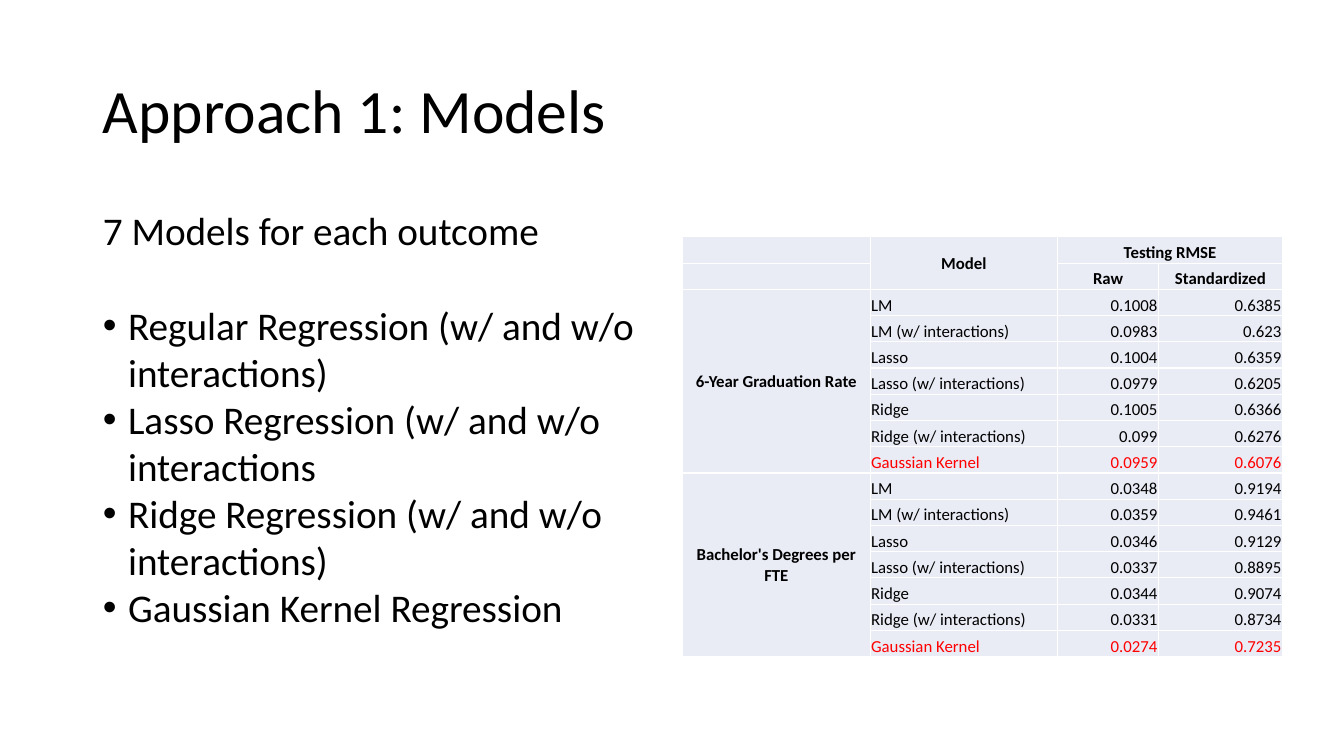
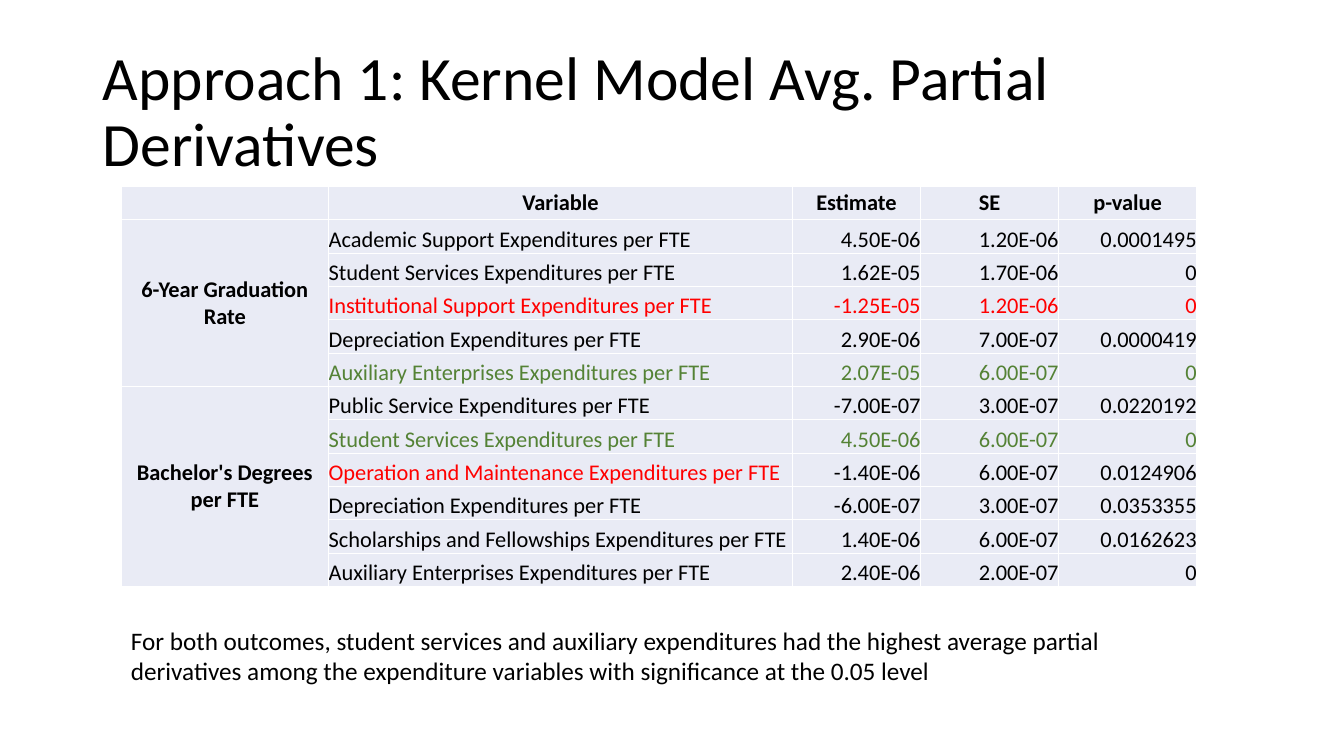
from dataclasses import dataclass
from typing import Any

from lxml.etree import SubElement as Sub
from pptx import Presentation
from pptx.dml.color import RGBColor as Rgb
from pptx.enum.text import MSO_ANCHOR as Anchor, MSO_AUTO_SIZE as Fit, PP_ALIGN as Align
from pptx.oxml.ns import qn
from pptx.util import Inches, Pt

HUES = {"ink": "000000", "red": "FF0000", "green": "548235",
        "cell": "E9EBF5", "rule": "FFFFFF"}
FONT = "Calibri"
GRAD, DEGREE = "6-Year Graduation Rate", "Bachelor's Degrees per FTE"
COST = " Expenditures per FTE"


@dataclass
class Line:
    name: str
    vals: tuple[str, ...]
    tone: str = "ink"
    val_tone: str = ""


@dataclass
class Block:
    name: str
    lines: list[Line]


@dataclass
class Sheet:
    box: tuple[float, float, float, float]
    cols: tuple[float, ...]
    size: int
    inset: float
    anchor: Any
    heads: list[tuple[str, ...]]
    spans: list[tuple[int, int, int, int]]
    blocks: list[Block]


def put(item: Any, vals: dict[str, Any]) -> None:
    for key, val in vals.items():
        setattr(item, key, val)


def place(shape: Any, box: tuple[float, float, float, float]) -> None:
    put(shape, dict(zip(("left", "top", "width", "height"), map(Inches, box))))


def write(para: Any, text: str, size: int, tone: str = "ink", bold: bool = False) -> None:
    run = para.add_run()
    run.text = text
    put(run.font, {"name": FONT, "size": Pt(size), "bold": bold})
    run.font.color.rgb = Rgb.from_string(HUES[tone])


def add_title(slide: Any, text: str) -> None:
    shape = slide.shapes.title
    place(shape, (0.92, 0.4, 11.5, 1.45))
    frame = shape.text_frame
    put(frame, {"vertical_anchor": Anchor.MIDDLE, "auto_size": Fit.NONE, "word_wrap": True})
    para = frame.paragraphs[0]
    put(para, {"alignment": Align.LEFT, "line_spacing": 0.9})
    write(para, text, 44)


def add_list(slide: Any, intro: str, items: list[str]) -> None:
    shape = slide.placeholders[1]
    place(shape, (0.92, 2, 5.51, 4.76))
    frame = shape.text_frame
    put(frame, {"auto_size": Fit.NONE, "word_wrap": True})
    for num, text in enumerate([intro, *items]):
        para = frame.add_paragraph() if num else frame.paragraphs[0]
        put(para, {"space_before": Pt(0), "space_after": Pt(0 if num else 34)})
        write(para, text, 28)
        props = para._p.get_or_add_pPr()
        dent = Inches(0.25) if num else 0
        props.set("marL", str(dent))
        props.set("indent", str(-dent))
        if num:
            Sub(props, qn("a:buFont"), typeface="Arial")
            Sub(props, qn("a:buChar"), char="•")
        else:
            Sub(props, qn("a:buNone"))


def style(cell: Any, sheet: Sheet) -> None:
    props = cell._tc.get_or_add_tcPr()
    for side in ("lnL", "lnR", "lnT", "lnB"):
        edge = Sub(props, qn(f"a:{side}"), w=str(Pt(1)))
        Sub(Sub(edge, qn("a:solidFill")), qn("a:srgbClr"), val=HUES["rule"])
    cell.fill.solid()
    cell.fill.fore_color.rgb = Rgb.from_string(HUES["cell"])
    pad = Inches(sheet.inset)
    put(cell, {"margin_left": pad, "margin_right": pad, "margin_top": pad,
               "margin_bottom": 0, "vertical_anchor": Anchor.BOTTOM})


def fill(cell: Any, text: str, size: int, align: Any, tone: str = "ink",
         bold: bool = False) -> None:
    para = cell.text_frame.paragraphs[0]
    para.alignment = align
    if text:
        write(para, text, size, tone, bold)
    else:
        Sub(para._p, qn("a:endParaRPr"), sz=str(size * 100))


def add_sheet(slide: Any, sheet: Sheet) -> None:
    count = len(sheet.heads) + sum(len(block.lines) for block in sheet.blocks)
    frame = slide.shapes.add_table(count, len(sheet.cols), *map(Inches, sheet.box))
    table = frame.table
    put(table, {"first_row": False, "horz_banding": False})
    for col, width in zip(table.columns, sheet.cols):
        col.width = Inches(width)
    for row in table.rows:
        row.height = Inches(sheet.box[3] / count)
    for cell in table.iter_cells():
        style(cell, sheet)
    for top, texts in enumerate(sheet.heads):
        for col, text in enumerate(texts):
            cell = table.cell(top, col)
            fill(cell, text, sheet.size, Align.CENTER, bold=True)
            cell.vertical_anchor = sheet.anchor
    spans = list(sheet.spans)
    top = len(sheet.heads)
    for block in sheet.blocks:
        fill(table.cell(top, 0), block.name, sheet.size, Align.CENTER, bold=True)
        spans.append((top, 0, top + len(block.lines) - 1, 0))
        for row, line in enumerate(block.lines, top):
            fill(table.cell(row, 1), line.name, sheet.size, Align.LEFT, line.tone)
            for col, val in enumerate(line.vals, 2):
                fill(table.cell(row, col), val, sheet.size, Align.RIGHT,
                     line.val_tone or line.tone)
        top += len(block.lines)
    for top, left, end, right in spans:
        cell = table.cell(top, left)
        cell.merge(table.cell(end, right))
        if end > top:
            cell.vertical_anchor = Anchor.MIDDLE


def add_note(slide: Any, text: str) -> None:
    box = slide.shapes.add_textbox(*map(Inches, (1.2, 6.15, 10.67, 0.71)))
    put(box.text_frame, {"word_wrap": True, "auto_size": Fit.SHAPE_TO_FIT_TEXT})
    write(box.text_frame.paragraphs[0], text, 18)


def score(name: str, pairs: list[tuple[str, str]]) -> Block:
    kinds = [kind + end for kind in ("LM", "Lasso", "Ridge")
             for end in ("", " (w/ interactions)")]
    lines = [Line(kind, pair) for kind, pair in zip(kinds, pairs)]
    return Block(name, [*lines, Line("Gaussian Kernel", pairs[-1], "red")])


def cost(name: str, *vals: str, tone: str = "ink", val_tone: str = "") -> Line:
    return Line(name + COST, vals, tone, val_tone)


SCORES = Sheet(
    (6.77, 2.35, 5.95, 4.17), (1.86, 1.86, 1, 1.23), 12, 0.01, Anchor.BOTTOM,
    [("", "Model", "Testing RMSE", ""), ("", "", "Raw", "Standardized")],
    [(0, 1, 1, 1), (0, 2, 0, 3)],
    [
        score(GRAD, [
            ("0.1008", "0.6385"), ("0.0983", "0.623"), ("0.1004", "0.6359"),
            ("0.0979", "0.6205"), ("0.1005", "0.6366"), ("0.099", "0.6276"),
            ("0.0959", "0.6076")]),
        score(DEGREE, [
            ("0.0348", "0.9194"), ("0.0359", "0.9461"), ("0.0346", "0.9129"),
            ("0.0337", "0.8895"), ("0.0344", "0.9074"), ("0.0331", "0.8734"),
            ("0.0274", "0.7235")]),
    ])

COSTS = Sheet(
    (1.2, 1.85, 10.67, 3.97), (2.06, 4.6, 1.27, 1.37, 1.37), 16, 0, Anchor.MIDDLE,
    [("", "Variable", "Estimate", "SE", "p-value")], [],
    [
        Block(GRAD, [
            cost("Academic Support", "4.50E-06", "1.20E-06", "0.0001495"),
            cost("Student Services", "1.62E-05", "1.70E-06", "0"),
            cost("Institutional Support", "-1.25E-05", "1.20E-06", "0", tone="red"),
            cost("Depreciation", "2.90E-06", "7.00E-07", "0.0000419"),
            cost("Auxiliary Enterprises", "2.07E-05", "6.00E-07", "0", tone="green")]),
        Block(DEGREE, [
            cost("Public Service", "-7.00E-07", "3.00E-07", "0.0220192"),
            cost("Student Services", "4.50E-06", "6.00E-07", "0", tone="green"),
            cost("Operation and Maintenance", "-1.40E-06", "6.00E-07", "0.0124906",
                 tone="red", val_tone="ink"),
            cost("Depreciation", "-6.00E-07", "3.00E-07", "0.0353355"),
            cost("Scholarships and Fellowships", "1.40E-06", "6.00E-07", "0.0162623"),
            cost("Auxiliary Enterprises", "2.40E-06", "2.00E-07", "0")]),
    ])


def main() -> None:
    deck = Presentation()
    put(deck, {"slide_width": Inches(13.33), "slide_height": Inches(7.5)})

    models = deck.slides.add_slide(deck.slide_layouts[1])
    add_title(models, "Approach 1: Models")
    add_list(models, "7 Models for each outcome", [
        "Regular Regression (w/ and w/o interactions)",
        "Lasso Regression (w/ and w/o interactions",
        "Ridge Regression (w/ and w/o interactions)",
        "Gaussian Kernel Regression"])
    add_sheet(models, SCORES)

    kernel = deck.slides.add_slide(deck.slide_layouts[5])
    add_title(kernel, "Approach 1: Kernel Model Avg. Partial Derivatives")
    add_sheet(kernel, COSTS)
    add_note(kernel, "For both outcomes, student services and auxiliary expenditures "
             "had the highest average partial derivatives among the expenditure "
             "variables with significance at the 0.05 level")

    deck.save("out.pptx")


if __name__ == "__main__":
    main()
